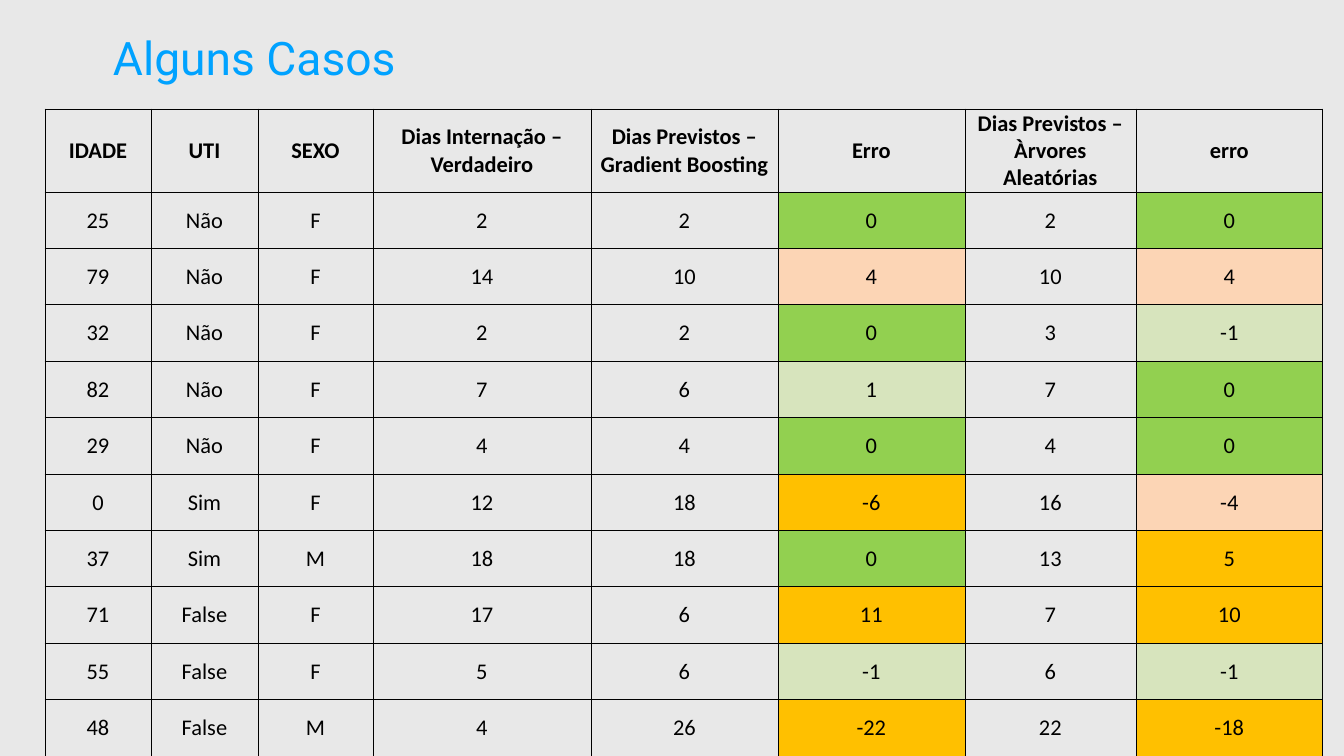
from pptx import Presentation
from pptx.dml.color import RGBColor
from pptx.enum.text import MSO_ANCHOR, MSO_AUTO_SIZE, PP_ALIGN
from pptx.oxml import parse_xml
from pptx.oxml.ns import nsdecls
from pptx.util import Inches, Pt

TITLE = "Alguns Casos"
HEADS = [
    "IDADE", "UTI", "SEXO",
    "Dias Internação –\nVerdadeiro",
    "Dias Previstos –\nGradient Boosting", "Erro",
    "Dias Previstos –\nÀrvores Aleatórias", "erro",
]
CASES = [
    (25, "Não", "F", 2, 2, 2),
    (79, "Não", "F", 14, 10, 10),
    (32, "Não", "F", 2, 2, 3),
    (82, "Não", "F", 7, 6, 7),
    (29, "Não", "F", 4, 4, 4),
    (0, "Sim", "F", 12, 18, 16),
    (37, "Sim", "M", 18, 18, 13),
    (71, "False", "F", 17, 6, 7),
    (55, "False", "F", 5, 6, 6),
    (48, "False", "M", 4, 26, 22),
]
LEVELS = [(0, "92D050"), (1, "D7E4BD"), (4, "FCD5B5")]
WORST = "FFC000"
WIDTHS = [106, 107, 115, 218, 187, 187, 171, 187]
HEAD_H, BODY_H = 83, 564
ERRORS = (5, 7)


def px(n):
    """Turn pixels into EMU."""
    return Inches(n / 50.4)


def paint(fill, color):
    """Fill with one hex colour."""
    fill.solid()
    fill.fore_color.rgb = RGBColor.from_string(color)


def style(frame, font, size, color, bold=False, align=PP_ALIGN.LEFT):
    """Format every run in a text frame."""
    for para in frame.paragraphs:
        para.alignment = align
        for run in para.runs:
            run.font.name = font
            run.font.size = Pt(size)
            run.font.bold = bold
            run.font.color.rgb = RGBColor.from_string(color)


def border(cell):
    """Draw a thin black line on all four sides."""
    props = cell._tc.get_or_add_tcPr()
    for side in ("lnL", "lnR", "lnT", "lnB"):
        props.append(parse_xml(
            f'<a:{side} {nsdecls("a")} w="{Pt(1)}"><a:solidFill>'
            f'<a:srgbClr val="000000"/></a:solidFill></a:{side}>'))


def grade(error):
    """Choose the colour for the size of an error."""
    return next((c for top, c in LEVELS if abs(error) <= top), WORST)


deck = Presentation()
deck.slide_width, deck.slide_height = Inches(26.67), Inches(15)
slide = deck.slides.add_slide(deck.slide_layouts[5])
paint(slide.background.fill, "E8E8E8")

title = slide.shapes.title
title.left, title.top, title.width, title.height = map(px, (110, 27, 787, 61))
frame = title.text_frame
frame.text = TITLE
frame.word_wrap = True
frame.auto_size = MSO_AUTO_SIZE.NONE
frame.vertical_anchor = MSO_ANCHOR.MIDDLE
frame.margin_left = frame.margin_right = px(3)
frame.margin_top = frame.margin_bottom = px(3)
style(frame, "Roboto", 66, "00A2FF")

rows = [HEADS] + [
    (age, icu, sex, real, boost, real - boost, trees, real - trees)
    for age, icu, sex, real, boost, trees in CASES
]
table = slide.shapes.add_table(
    len(rows), len(HEADS), px(45), px(109),
    px(sum(WIDTHS)), px(HEAD_H + BODY_H)).table
table.first_row = table.horz_banding = False
for col, width in zip(table.columns, WIDTHS):
    col.width = px(width)

for r, row in enumerate(rows):
    table.rows[r].height = px(BODY_H / len(CASES) if r else HEAD_H)
    for c, value in enumerate(row):
        cell = table.cell(r, c)
        cell.text_frame.text = str(value)
        cell.vertical_anchor = MSO_ANCHOR.MIDDLE
        cell.margin_left = cell.margin_right = Inches(0.01)
        cell.margin_top, cell.margin_bottom = Inches(0.01), 0
        style(cell.text_frame, "Calibri", 32, "000000", r == 0, PP_ALIGN.CENTER)
        border(cell)
        if r and c in ERRORS:
            paint(cell.fill, grade(value))
        else:
            cell.fill.background()

deck.save("out.pptx")
